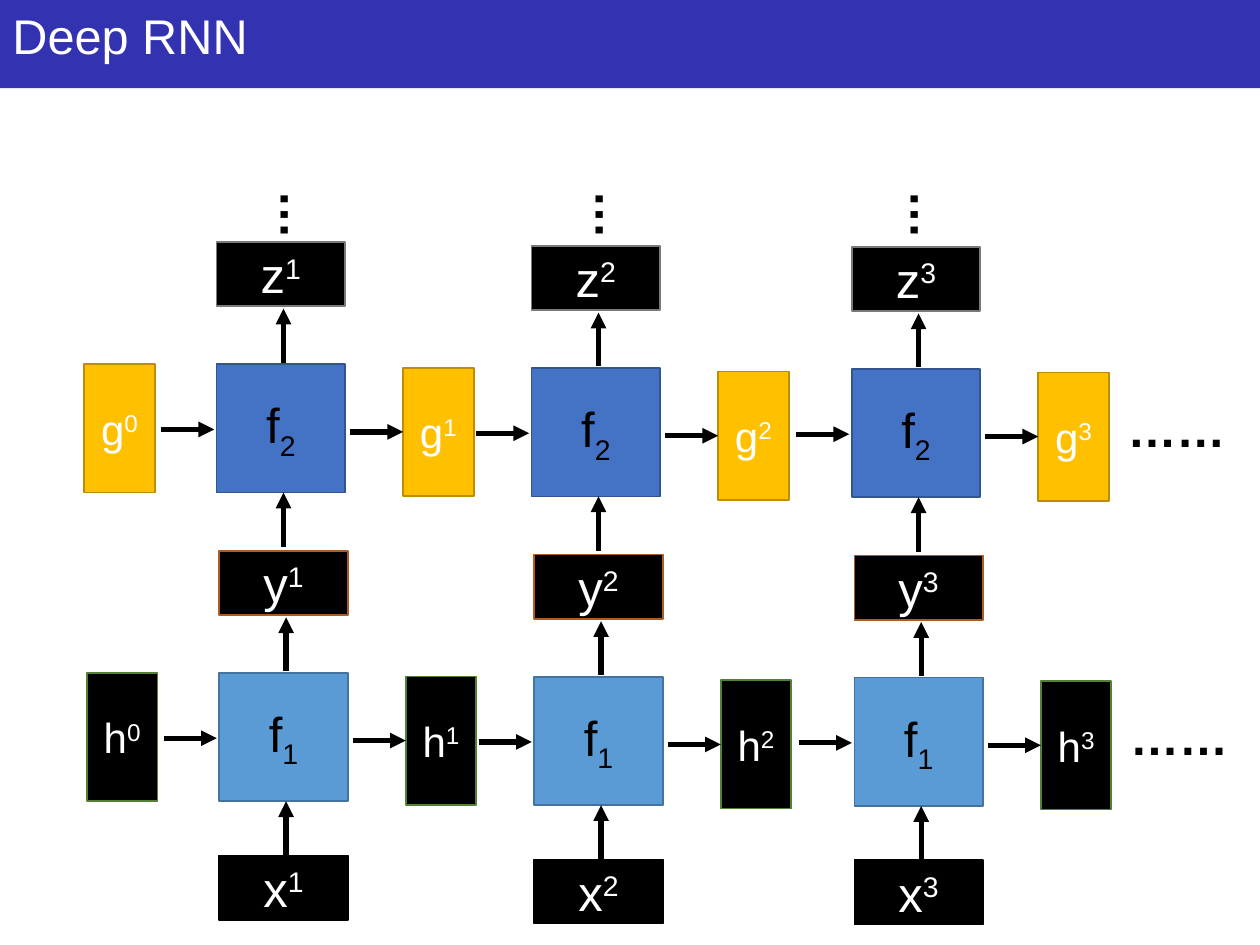
from lxml import etree
from pptx import Presentation
from pptx.dml.color import RGBColor
from pptx.enum.shapes import MSO_CONNECTOR, MSO_SHAPE
from pptx.enum.text import MSO_ANCHOR, MSO_AUTO_SIZE, PP_ALIGN
from pptx.oxml.ns import qn
from pptx.util import Pt

RECTANGLE = MSO_SHAPE.RECTANGLE
STRAIGHT = MSO_CONNECTOR.STRAIGHT
MIDDLE = MSO_ANCHOR.MIDDLE
CENTER = PP_ALIGN.CENTER
GROW = MSO_AUTO_SIZE.SHAPE_TO_FIT_TEXT
LEFT_SIDE = 1
SUPERSCRIPT, SUBSCRIPT = 30000, -25000

COLORS = {
    "banner": "3332B1", "white": "FFFFFF", "black": "000000",
    "blue": "5B9BD5", "blue edge": "43739E",
    "navy": "4472C4", "navy edge": "325491",
    "gold": "FFC000", "gold edge": "BD8E00",
    "green edge": "538035", "orange edge": "AF5C24", "gray edge": "7A7A7A",
}

CELL = 73.4
STATE_WIDTH = 40.3
VALUE_HEIGHT = 36.7
STATE_STEP = 106.6
INPUT_DROP = 104.4
UP_X = 38.2
COLUMNS = [(0, 0), (180, 2.2), (362.9, 2.7)]
LAYERS = [
    {"left": 125.3, "top": 384.5, "index": "1", "state": "h", "output": "y",
     "cell": ("blue", "blue edge"), "state_style": ("black", "green edge"),
     "output_style": ("black", "orange edge")},
    {"left": 123.8, "top": 208.1, "index": "2", "state": "g", "output": "z",
     "cell": ("navy", "navy edge"), "state_style": ("gold", "gold edge"),
     "output_style": ("black", "gray edge")},
]


class SlideBuilder:
    """Draws styled elements on the current slide, with lengths in points."""

    font_name = "Arial"

    def __init__(self, slide):
        self.slide = slide

    def run(self, paragraph, text, size, color, bold=False, baseline=None):
        run = paragraph.add_run()
        run.text = text
        font_format = {"name": self.font_name, "size": Pt(size), "bold": bold}
        for name, value in font_format.items():
            setattr(run.font, name, value)
        run.font.color.rgb = RGBColor.from_string(COLORS[color])
        if baseline:
            run.font._element.set("baseline", str(baseline))

    def rectangle(self, left, top, width, height, fill, edge=None):
        shape = self.slide.shapes.add_shape(
            RECTANGLE, Pt(left), Pt(top), Pt(width), Pt(height))
        shape.shadow.inherit = False
        shape.fill.solid()
        shape.fill.fore_color.rgb = RGBColor.from_string(COLORS[fill])
        if edge:
            shape.line.color.rgb = RGBColor.from_string(COLORS[edge])
            shape.line.width = Pt(1)
        else:
            shape.line.fill.background()
        return shape

    def node(self, bounds, style, label, size=28, color="white", baseline=SUPERSCRIPT):
        shape = self.rectangle(*bounds, *style)
        shape.text_frame.vertical_anchor = MIDDLE
        paragraph = shape.text_frame.paragraphs[0]
        paragraph.alignment = CENTER
        letter, index = label
        self.run(paragraph, letter, size, color)
        self.run(paragraph, index, size, color, baseline=baseline)
        return shape

    def text(self, bounds, text, size=28, color="black", bold=True, rotation=0):
        shape = self.slide.shapes.add_textbox(*map(Pt, bounds))
        shape.rotation = rotation
        frame_format = {"word_wrap": True, "auto_size": GROW}
        for name, value in frame_format.items():
            setattr(shape.text_frame, name, value)
        self.run(shape.text_frame.paragraphs[0], text, size, color, bold)

    def arrow(self, start_x, start_y, end_x, end_y, target=None):
        connector = self.slide.shapes.add_connector(
            STRAIGHT, Pt(start_x), Pt(start_y), Pt(end_x), Pt(end_y))
        connector.line.color.rgb = RGBColor.from_string(COLORS["black"])
        connector.line.width = Pt(3)
        line = connector.line._get_or_add_ln()
        etree.SubElement(line, qn("a:tailEnd"), type="triangle")
        etree.SubElement(connector._element.spPr, qn("a:effectLst"))
        if target is not None:
            connector.end_connect(target, LEFT_SIDE)

    def state(self, layer, left, top, step):
        bounds = (left, top, STATE_WIDTH, CELL)
        return self.node(bounds, layer["state_style"], (layer["state"], step), size=24)

    def time_step(self, layer, left, top, step):
        self.node((left, top, CELL, CELL), layer["cell"], ("f", layer["index"]),
                  color="black", baseline=SUBSCRIPT)
        self.node((left, top - 69.8, CELL, VALUE_HEIGHT),
                  layer["output_style"], (layer["output"], step))
        next_state = self.state(layer, left + STATE_STEP, top + 2, step)
        state_y = top + 2 + CELL / 2
        up_x = left + UP_X
        self.arrow(left - 31.8, top + 37.3, left - 1.4, top + 37.3)
        self.arrow(left + 76.2, state_y, left + STATE_STEP, state_y, next_state)
        self.arrow(up_x, top - 0.9, up_x, top - 31.7)
        self.arrow(up_x, top + INPUT_DROP, up_x, top + CELL)


def main():
    presentation = Presentation()
    presentation.slide_width, presentation.slide_height = Pt(720), Pt(540)
    slide = presentation.slides.add_slide(presentation.slide_layouts[6])
    builder = SlideBuilder(slide)
    builder.rectangle(0, 0, 720, 50.4, "banner")
    builder.text((0, 0, 719, 41), "Deep RNN", 27.8, "white", bold=False)

    for layer in LAYERS:
        left, top = layer["left"], layer["top"]
        builder.state(layer, left - 75.6, top, "0")
        for step, (shift, drop) in enumerate(COLUMNS, 1):
            builder.time_step(layer, left + shift, top + drop, str(step))
        builder.text((left + 513.4, top + 15.8, 73.4, 41), "……")

    first = LAYERS[0]
    for step, (shift, drop) in enumerate(COLUMNS, 1):
        builder.node((first["left"] + shift, first["top"] + drop + INPUT_DROP,
                      CELL, VALUE_HEIGHT), ("black", "black"), ("x", str(step)))
        builder.text((154.1 + 180 * (step - 1), 98.6, 34.6, 41), "…", rotation=90)

    presentation.save("out.pptx")


if __name__ == "__main__":
    main()
